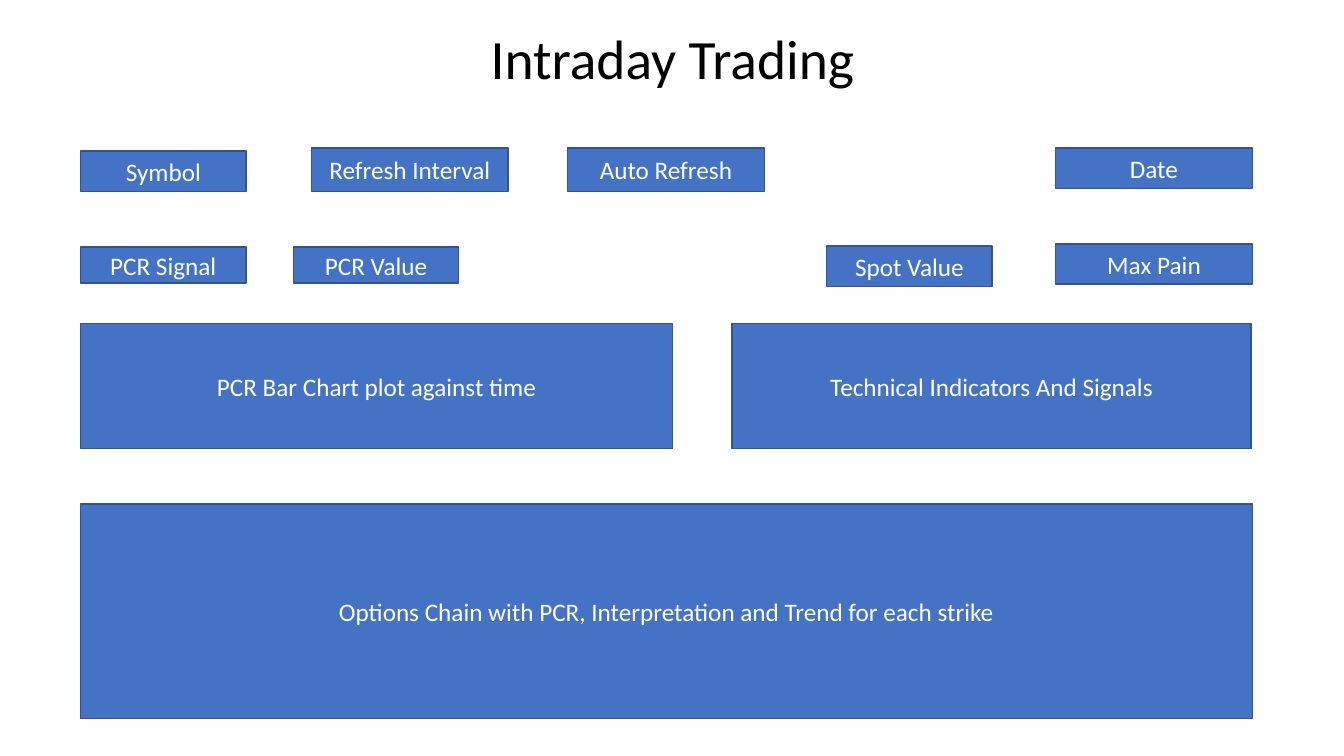
import dataclasses

import pptx
import pptx.dml.color
import pptx.enum.shapes
import pptx.enum.text
import pptx.slide
import pptx.text.text
import pptx.util

Inches = pptx.util.Inches
RGB = pptx.dml.color.RGBColor


@dataclasses.dataclass(frozen=True)
class Theme:
    font: str = "Calibri"
    fill: RGB = RGB.from_string("4472C4")
    edge: RGB = RGB.from_string("325491")
    light: RGB = RGB.from_string("FFFFFF")
    dark: RGB = RGB.from_string("000000")
    title: float = 39.6
    label: float = 18
    line: float = 1


@dataclasses.dataclass(frozen=True)
class Panel:
    text: str
    left: float
    top: float
    width: float
    height: float


THEME = Theme()
LEFT, RIGHT = 0.8, 10.47
SMALL, WIDE = 1.64, 1.95
TITLE = Panel("Intraday Trading", 0.92, 0.3, 11.5, 0.62)
PANELS = [
    Panel("Symbol", LEFT, 1.5, SMALL, 0.4),
    Panel("Refresh Interval", 3.09, 1.47, WIDE, 0.43),
    Panel("Auto Refresh", 5.63, 1.47, WIDE, 0.43),
    Panel("Date", RIGHT, 1.47, WIDE, 0.4),
    Panel("PCR Signal", LEFT, 2.45, SMALL, 0.36),
    Panel("PCR Value", 2.91, 2.45, SMALL, 0.36),
    Panel("Spot Value", 8.2, 2.44, SMALL, 0.4),
    Panel("Max Pain", RIGHT, 2.42, WIDE, 0.4),
    Panel("PCR Bar Chart plot against time", LEFT, 3.21, 5.87, 1.24),
    Panel("Technical Indicators And Signals", 7.26, 3.21, 5.15, 1.24),
    Panel("Options Chain with PCR, Interpretation and Trend for each strike",
          LEFT, 5, 11.62, 2.13),
]


def bounds(panel: Panel) -> list[pptx.util.Length]:
    return [Inches(n) for n in (panel.left, panel.top, panel.width, panel.height)]


def write(frame: pptx.text.text.TextFrame, text: str, size: float, color: RGB) -> None:
    frame.text = text
    frame.word_wrap = True
    frame.vertical_anchor = pptx.enum.text.MSO_ANCHOR.MIDDLE
    line = frame.paragraphs[0]
    line.alignment = pptx.enum.text.PP_ALIGN.CENTER
    font = line.runs[0].font
    font.name = THEME.font
    font.size = pptx.util.Pt(size)
    font.color.rgb = color


def head(slide: pptx.slide.Slide, panel: Panel) -> None:
    frame = slide.shapes.add_textbox(*bounds(panel)).text_frame
    write(frame, panel.text, THEME.title, THEME.dark)
    frame.paragraphs[0].line_spacing = 0.9


def draw(slide: pptx.slide.Slide, panel: Panel) -> None:
    kind = pptx.enum.shapes.MSO_SHAPE.RECTANGLE
    box = slide.shapes.add_shape(kind, *bounds(panel))
    box.shadow.inherit = False
    box.fill.solid()
    box.fill.fore_color.rgb = THEME.fill
    box.line.color.rgb = THEME.edge
    box.line.width = pptx.util.Pt(THEME.line)
    write(box.text_frame, panel.text, THEME.label, THEME.light)


def main() -> None:
    """Build the intraday trading dashboard layout."""
    deck = pptx.Presentation()
    deck.slide_width = Inches(13.33)
    deck.slide_height = Inches(7.5)
    slide = deck.slides.add_slide(deck.slide_layouts[6])
    head(slide, TITLE)
    for panel in PANELS:
        draw(slide, panel)
    deck.save("out.pptx")


if __name__ == "__main__":
    main()
